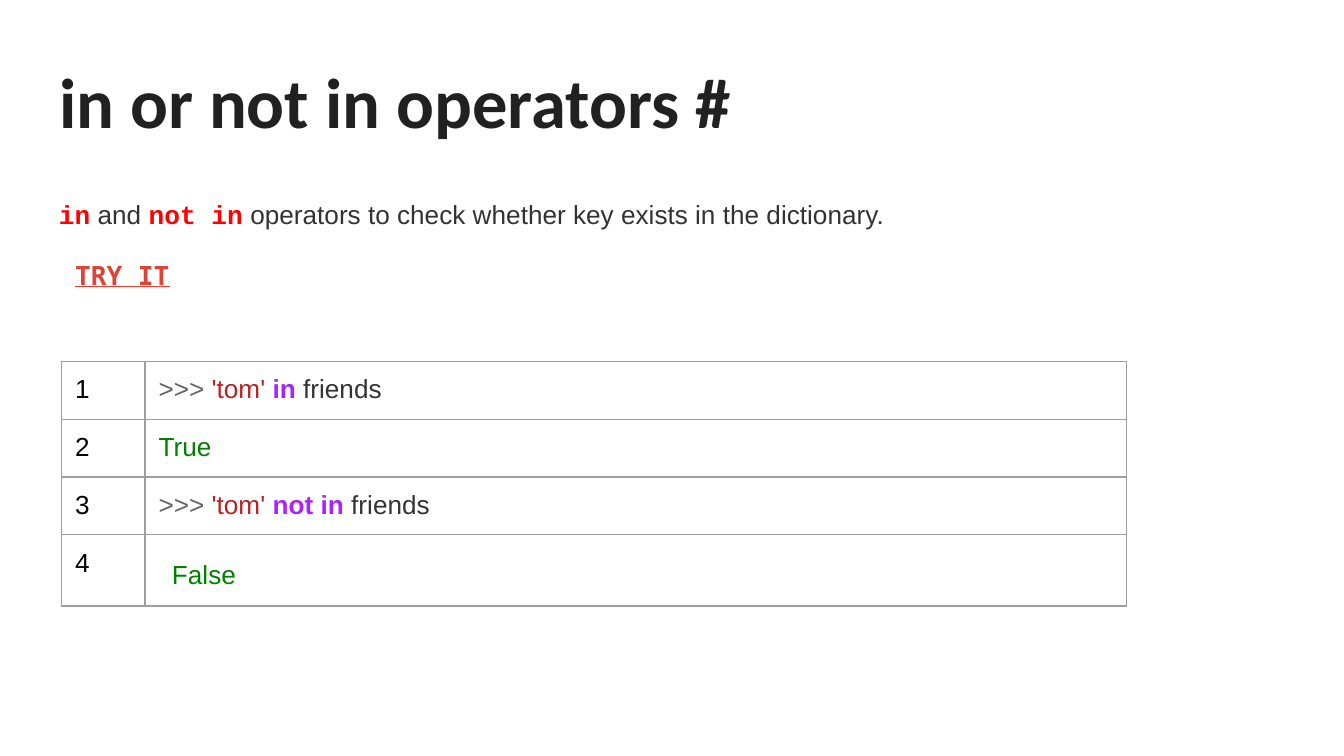
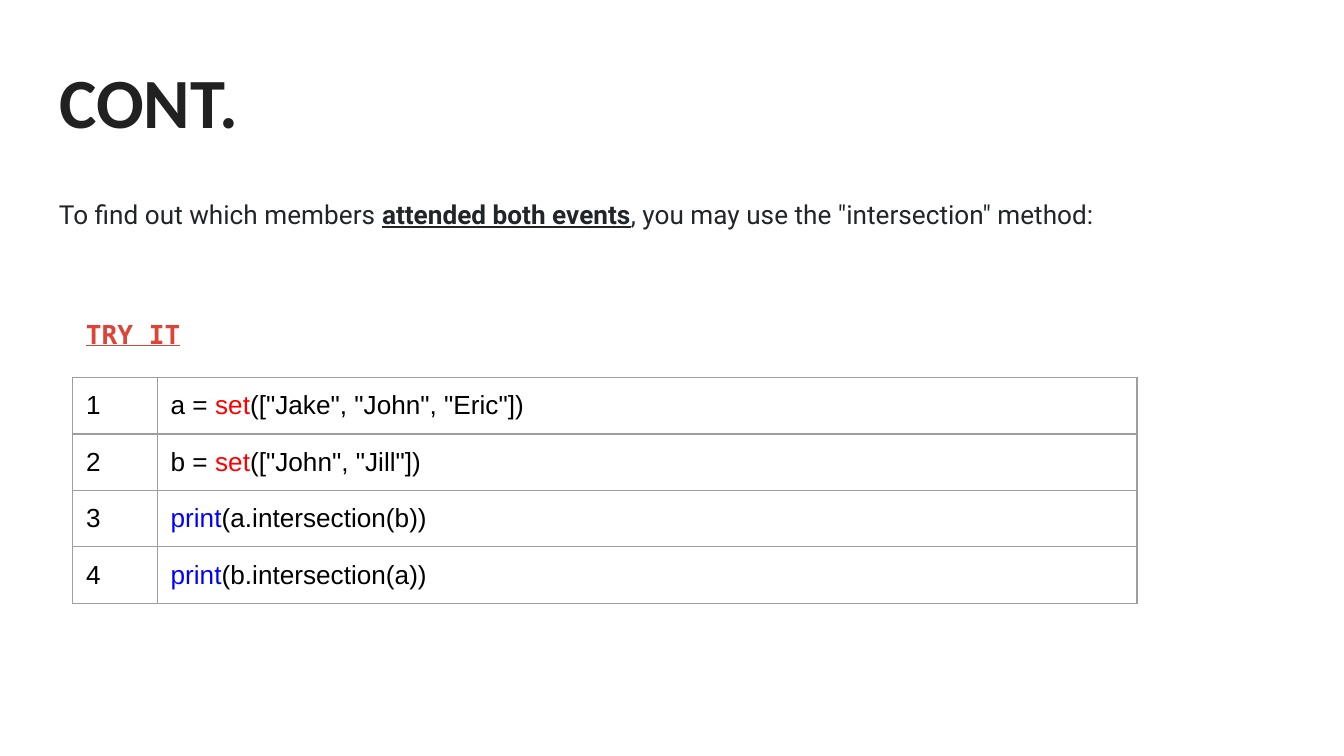
import pptx
import pptx.dml.color
import pptx.enum.text
import pptx.oxml
import pptx.oxml.ns
import pptx.util
from pptx.dml.color import RGBColor
from pptx.util import Inches

INK = RGBColor(0x21, 0x21, 0x21)
BODY = RGBColor(0x33, 0x33, 0x33)
SLATE = RGBColor(0x21, 0x25, 0x29)
BLACK = RGBColor(0x00, 0x00, 0x00)
RED = RGBColor(0xFF, 0x00, 0x00)
LINK = RGBColor(0xDB, 0x44, 0x37)
PROMPT = RGBColor(0x66, 0x66, 0x66)
STRING = RGBColor(0xBA, 0x21, 0x21)
KEYWORD = RGBColor(0xAA, 0x22, 0xFF)
RESULT = RGBColor(0x00, 0x80, 0x00)
BLUE = RGBColor(0x00, 0x00, 0xFF)
BORDER = RGBColor(0x9E, 0x9E, 0x9E)

TITLE = {"name": "Calibri", "size": 37.8, "bold": True, "color": INK}
CODE = {"name": "Arial", "size": 14, "bold": False, "color": BLACK}
PROSE = CODE | {"color": BODY}
OPERATOR = {"name": "Courier New", "size": 14, "bold": True, "color": RED}
EVENTS = {"name": "Roboto", "size": 14, "bold": False, "color": SLATE}
TRY_IT = {"name": "DejaVu Sans Mono", "size": 14, "bold": True,
          "underline": True, "color": LINK}
INSET = 0.1
SLIDE_WIDTH = Inches(10)
SLIDE_HEIGHT = SLIDE_WIDTH * 9 // 16
TITLE_BOX = (0.34, 0.33, 9.32, 0.88)


def write_runs(paragraph, runs):
    """Add (text, format) runs to a paragraph."""
    for text, style in runs:
        run = paragraph.add_run()
        run.text = text
        for key, value in style.items():
            if key == "color":
                run.font.color.rgb = value
            else:
                setattr(run.font, key, pptx.util.Pt(value) if key == "size" else value)


def format_frame(frame, runs, line_spacing=1.0):
    """Apply the shared insets and write one left-aligned paragraph."""
    settings = {"word_wrap": True, "auto_size": pptx.enum.text.MSO_AUTO_SIZE.NONE,
                "vertical_anchor": pptx.enum.text.MSO_ANCHOR.TOP}
    for side in ("left", "top", "right", "bottom"):
        settings[f"margin_{side}"] = Inches(INSET)
    for key, value in settings.items():
        setattr(frame, key, value)
    paragraph = frame.paragraphs[0]
    paragraph.alignment = pptx.enum.text.PP_ALIGN.LEFT
    paragraph.line_spacing = line_spacing
    write_runs(paragraph, runs)


def add_titled_slide(presentation, text):
    """Add a title-only slide with the shared title style."""
    slide = presentation.slides.add_slide(presentation.slide_layouts[5])
    title = slide.shapes.title
    title.left, title.top, title.width, title.height = map(Inches, TITLE_BOX)
    format_frame(title.text_frame, [(text, TITLE)])
    return slide


def add_text(slide, box, runs, line_spacing=1.0):
    """Add a text box with formatted runs."""
    shape = slide.shapes.add_textbox(*map(Inches, box))
    format_frame(shape.text_frame, runs, line_spacing)


def format_cell(cell, runs):
    """Write a transparent cell with thin grey borders."""
    for side in ("left", "top", "right", "bottom"):
        setattr(cell, f"margin_{side}", Inches(INSET))
    cell.fill.background()
    write_runs(cell.text_frame.paragraphs[0], runs)
    properties = cell._tc.get_or_add_tcPr()
    for index, side in enumerate("LRTB"):
        properties.insert(index, pptx.oxml.parse_xml(
            f'<a:ln{side} {pptx.oxml.ns.nsdecls("a")} w="{pptx.util.Pt(0.75)}">'
            f'<a:solidFill><a:srgbClr val="{BORDER}"/></a:solidFill></a:ln{side}>'))


def add_code_table(slide, left, top, column_widths, row_heights, lines):
    """Add a code listing with numbered lines."""
    frame = slide.shapes.add_table(
        len(lines), 2, Inches(left), Inches(top),
        Inches(sum(column_widths)), Inches(sum(row_heights)))
    table = frame.table
    table.first_row = table.horz_banding = False
    for column, width in zip(table.columns, column_widths):
        column.width = Inches(width)
    for row, height in zip(table.rows, row_heights):
        row.height = Inches(height)
    for index, line in enumerate(lines):
        format_cell(table.cell(index, 0), [(str(index + 1), CODE)])
        format_cell(table.cell(index, 1),
                    [(text, CODE | {"color": color}) for text, color in line])
    return table


def add_operator_slide(presentation):
    """Build the slide on membership operators."""
    slide = add_titled_slide(presentation, "in or not in operators #")
    add_text(slide, (0.34, 1.34, 8.41, 0.64), [
        ("in", OPERATOR), (" and ", PROSE), ("not in", OPERATOR),
        (" operators to check whether key exists in the dictionary.", PROSE)], 1.15)
    add_text(slide, (0.46, 1.83, 3.28, 0.44), [("TRY IT", TRY_IT)])
    lines = []
    for operator, result in (("in", "True"), ("not in", "False")):
        lines.append([(">>> ", PROMPT), ("'tom' ", STRING),
                      (operator, KEYWORD), (" friends", BODY)])
        lines.append([(result, RESULT)])
    table = add_code_table(slide, 0.46, 2.69, (0.62, 7.3), (0.43, 0.43, 0.43, 0.53), lines)
    for row in (0, 2):
        table.cell(row, 1).text_frame.paragraphs[0].runs[2].font.bold = True
    last_cell = table.cell(3, 1)
    last_cell.margin_left = Inches(2 * INSET)
    last_cell.text_frame.paragraphs[0].line_spacing = 1.43


def add_intersection_slide(presentation):
    """Build the slide on the intersection method."""
    slide = add_titled_slide(presentation, "CONT.")
    add_text(slide, (0.34, 1.34, 9.32, 0.65), [
        ("To find out which members ", EVENTS),
        ("attended both events", EVENTS | {"bold": True, "underline": True}),
        (', you may use the "intersection" method:', EVENTS)], 1.15)
    add_code_table(slide, 0.54, 2.81, (0.63, 7.29), [0.42] * 4, [
        [("a = ", BLACK), ("set", RED), ('(["Jake", "John", "Eric"])', BLACK)],
        [("b = ", BLACK), ("set", RED), ('(["John", "Jill"])', BLACK)],
        [("print", BLUE), ("(a.intersection(b))", BLACK)],
        [("print", BLUE), ("(b.intersection(a))", BLACK)]])
    add_text(slide, (0.54, 2.27, 3.28, 0.44), [("TRY IT", TRY_IT)])


def main():
    """Build and save the presentation."""
    presentation = pptx.Presentation()
    presentation.slide_width = SLIDE_WIDTH
    presentation.slide_height = SLIDE_HEIGHT
    add_operator_slide(presentation)
    add_intersection_slide(presentation)
    presentation.save("out.pptx")


if __name__ == "__main__":
    main()
